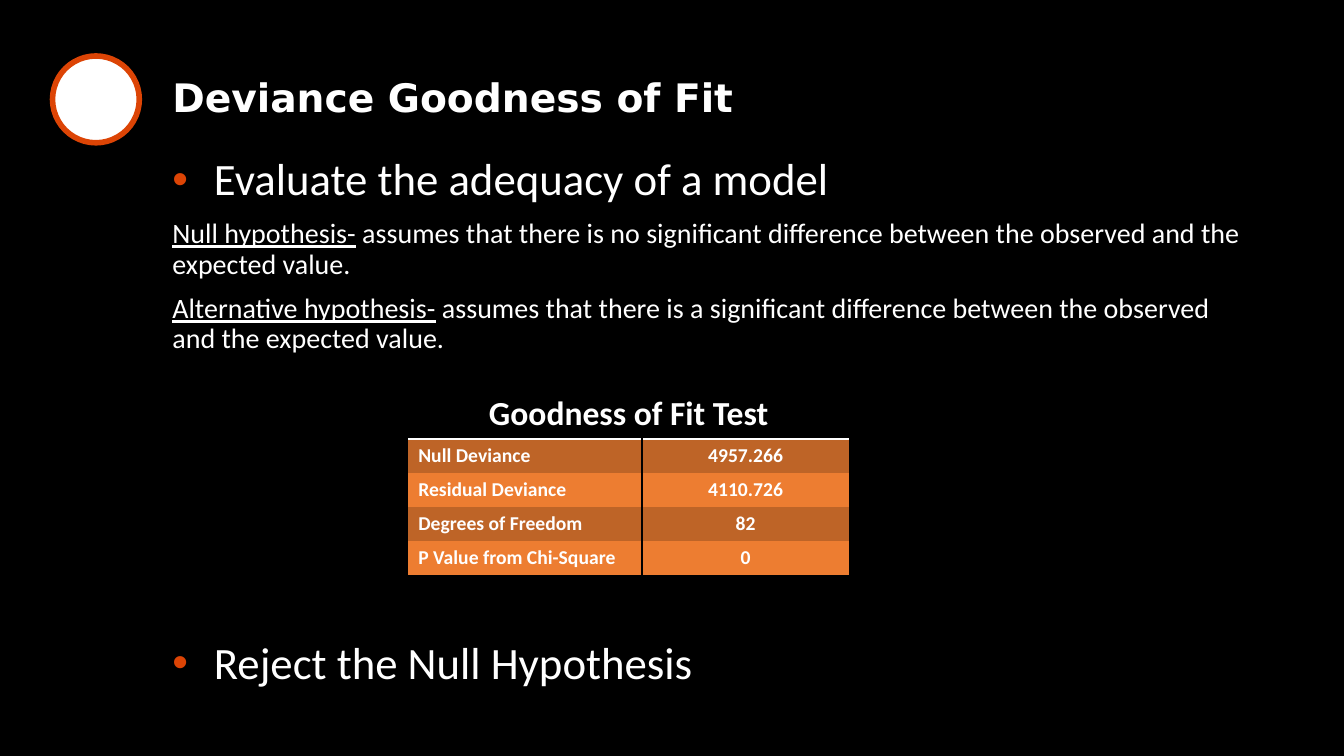
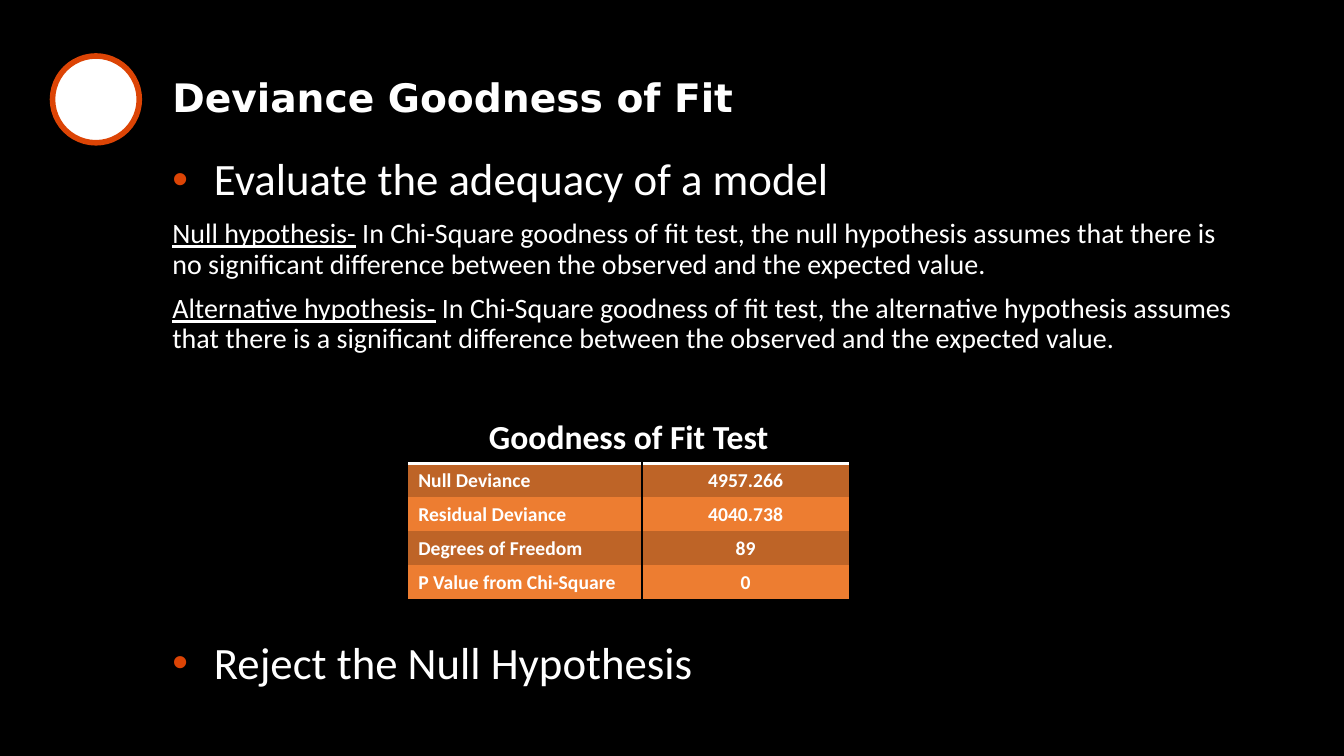
"""Build two dark slides on the deviance goodness of fit test."""

from dataclasses import dataclass

from lxml import etree
from pptx import Presentation
from pptx.dml.color import RGBColor
from pptx.enum.shapes import MSO_SHAPE
from pptx.enum.text import MSO_ANCHOR, MSO_AUTO_SIZE, PP_ALIGN
from pptx.oxml.ns import qn
from pptx.util import Pt

OVAL = MSO_SHAPE.OVAL
MIDDLE = MSO_ANCHOR.MIDDLE
TOP = MSO_ANCHOR.TOP
FIXED = MSO_AUTO_SIZE.NONE
LEFT = PP_ALIGN.LEFT
CENTER = PP_ALIGN.CENTER
PLAIN = "{2D5ABB26-0587-4C30-8999-92F81FD0307C}"


@dataclass(frozen=True)
class Theme:
    back: str = "000000"
    text: str = "FFFFFF"
    accent: str = "DC4405"
    dark: str = "BE6427"
    light: str = "ED7D31"
    head: str = "DejaVu Sans"
    body: str = "Calibri"
    title: float = 28
    point: float = 32
    note: float = 20
    label: float = 24
    cell: float = 14


@dataclass(frozen=True)
class Box:
    left: float
    top: float
    width: float
    height: float


@dataclass(frozen=True)
class Line:
    text: str
    term: str = ""
    before: float = 0


@dataclass(frozen=True)
class Page:
    null: str
    other: str
    top: float
    rest: str
    free: str


THEME = Theme()
RING = Box(37.5, 40, 62, 62)
TITLE = Box(115.9, 51.8, 777.6, 38.9)
BODY = Box(115.9, 108.7, 777.6, 408.2)
TABLE_LEFT = 291.6
COLS = (167, 148)
ROWS = (36.5, 24.3, 24.3, 24.3, 24.3)
INDENT = 29.7
CHI = "In Chi-Square goodness of fit test, the "
SAME = "assumes that there is no significant difference between the observed and the expected value."
DIFFER = "assumes that there is a significant difference between the observed and the expected value."

PAGES = (
    Page(SAME, DIFFER, 277.2, "4110.726", "82"),
    Page(f"{CHI}null hypothesis {SAME}", f"{CHI}alternative hypothesis {DIFFER}",
         294.5, "4040.738", "89"),
)


def paint(code: str) -> RGBColor:
    return RGBColor.from_string(code)


def place(shape, box: Box) -> None:
    shape.left, shape.top = Pt(box.left), Pt(box.top)
    shape.width, shape.height = Pt(box.width), Pt(box.height)


def add_run(para, text: str, size: float, face: str = THEME.body,
            bold: bool = False, under: bool = False) -> None:
    run = para.add_run()
    run.text = text
    font = run.font
    font.name, font.size = face, Pt(size)
    font.bold, font.underline = bold, under
    font.color.rgb = paint(THEME.text)


def set_bullet(para, shown: bool) -> None:
    props = para._p.get_or_add_pPr()
    depth = Pt(INDENT) if shown else 0
    props.set("marL", str(depth))
    props.set("indent", str(-depth))
    if shown:
        color = etree.SubElement(props, qn("a:buClr"))
        etree.SubElement(color, qn("a:srgbClr"), val=THEME.accent)
        etree.SubElement(props, qn("a:buFont"), typeface="Arial")
        etree.SubElement(props, qn("a:buChar"), char="•")
    else:
        etree.SubElement(props, qn("a:buNone"))


def add_ring(slide) -> None:
    ring = slide.shapes.add_shape(
        OVAL, Pt(RING.left), Pt(RING.top), Pt(RING.width), Pt(RING.height))
    ring.shadow.inherit = False
    ring.fill.solid()
    ring.fill.fore_color.rgb = paint(THEME.text)
    ring.line.color.rgb = paint(THEME.accent)
    ring.line.width = Pt(4)


def add_title(slide) -> None:
    title = slide.shapes.title
    place(title, TITLE)
    frame = title.text_frame
    frame.auto_size, frame.vertical_anchor = FIXED, MIDDLE
    para = frame.paragraphs[0]
    para.alignment, para.line_spacing = LEFT, 0.9
    add_run(para, "Deviance Goodness of Fit", THEME.title, THEME.head, bold=True)


def add_body(slide, page: Page) -> None:
    body = slide.placeholders[1]
    place(body, BODY)
    frame = body.text_frame
    frame.auto_size, frame.vertical_anchor = FIXED, TOP
    lines = (
        Line("Evaluate the adequacy of a model"),
        Line(page.null, "Null hypothesis-", 10),
        Line(page.other, "Alternative hypothesis-", 10),
        Line("Reject the Null Hypothesis", before=204.2),
    )
    for spot, line in enumerate(lines):
        para = frame.add_paragraph() if spot else frame.paragraphs[0]
        set_bullet(para, not line.term)
        para.line_spacing, para.space_before = 0.9, Pt(line.before)
        if line.term:
            add_run(para, line.term, THEME.note, under=True)
            add_run(para, f" {line.text}", THEME.note)
        else:
            add_run(para, line.text, THEME.point)


def add_edge(cell, side: str, color: str, width: float) -> None:
    edge = etree.SubElement(cell._tc.get_or_add_tcPr(), qn(f"a:{side}"), w=str(Pt(width)))
    fill = etree.SubElement(edge, qn("a:solidFill"))
    etree.SubElement(fill, qn("a:srgbClr"), val=color)


def fill_cell(cell, text: str, size: float, color: str, align) -> None:
    cell.fill.solid()
    cell.fill.fore_color.rgb = paint(color)
    para = cell.text_frame.paragraphs[0]
    para.alignment = align
    add_run(para, text, size, bold=True)


def add_grid(slide, page: Page) -> None:
    data = (
        ("Null Deviance", "4957.266"),
        ("Residual Deviance", page.rest),
        ("Degrees of Freedom", page.free),
        ("P Value from Chi-Square", "0"),
    )
    frame = slide.shapes.add_table(
        len(ROWS), len(COLS), Pt(TABLE_LEFT), Pt(page.top), Pt(sum(COLS)), Pt(sum(ROWS)))
    grid = frame.table
    grid.first_row = grid.horz_banding = False
    grid._tbl.tblPr.find(qn("a:tableStyleId")).text = PLAIN
    for col, width in zip(grid.columns, COLS):
        col.width = Pt(width)
    for row, height in zip(grid.rows, ROWS):
        row.height = Pt(height)
    head = grid.cell(0, 0)
    head.merge(grid.cell(0, 1))
    for cell in grid.rows[0].cells:
        add_edge(cell, "lnB", THEME.text, 2)
    head.vertical_anchor = MIDDLE
    fill_cell(head, "Goodness of Fit Test", THEME.label, THEME.back, CENTER)
    for spot, pair in enumerate(data):
        color = THEME.light if spot % 2 else THEME.dark
        cells = grid.rows[spot + 1].cells
        for cell, text, side, align in zip(cells, pair, ("lnR", "lnL"), (LEFT, CENTER)):
            add_edge(cell, side, THEME.back, 1)
            fill_cell(cell, text, THEME.cell, color, align)


def main() -> None:
    deck = Presentation()
    deck.slide_width, deck.slide_height = Pt(960), Pt(540)
    back = deck.slide_master.background.fill
    back.solid()
    back.fore_color.rgb = paint(THEME.back)
    for page in PAGES:
        slide = deck.slides.add_slide(deck.slide_layouts[1])
        add_ring(slide)
        add_title(slide)
        add_body(slide, page)
        add_grid(slide, page)
    deck.save("out.pptx")


if __name__ == "__main__":
    main()
